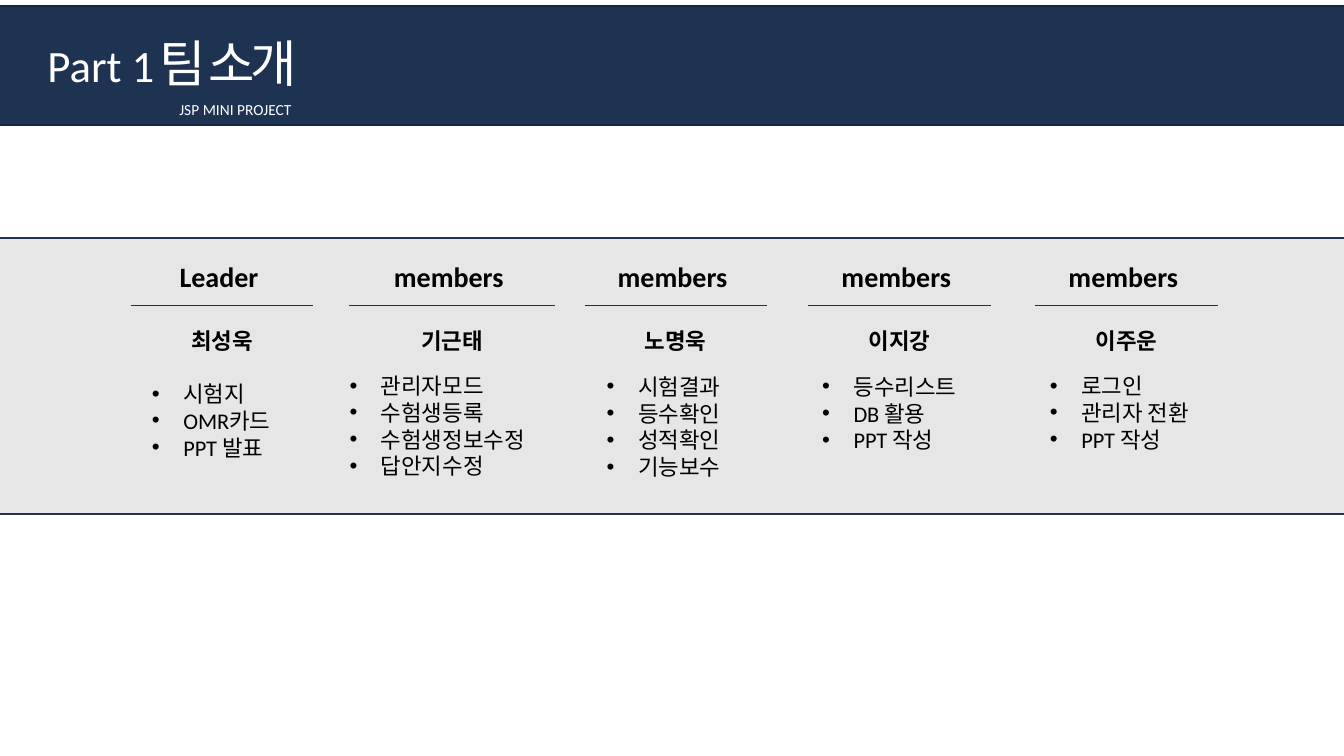
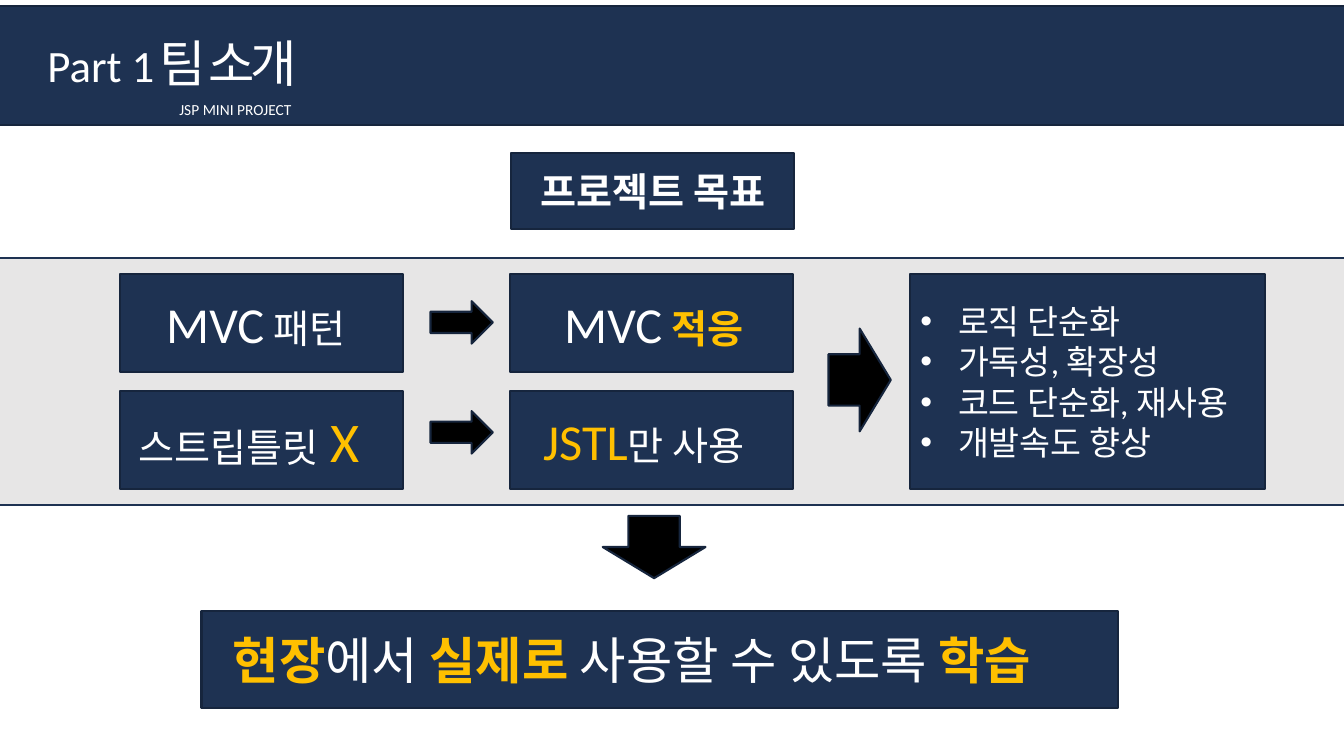
import pptx
import pptx.util
import pptx.dml.color
import pptx.enum.shapes
import pptx.enum.text
import pptx.oxml.ns
from lxml import etree

Cm, Pt = pptx.util.Cm, pptx.util.Pt
RGB = pptx.dml.color.RGBColor
SHAPE = pptx.enum.shapes.MSO_SHAPE
ALIGN = pptx.enum.text.PP_ALIGN
ANCHOR = pptx.enum.text.MSO_ANCHOR
qn = pptx.oxml.ns.qn

FONT = "Calibri"
NAVY = RGB(0x1E, 0x32, 0x52)
EDGE = RGB(0x16, 0x25, 0x3D)
GREY = RGB(0xE7, 0xE6, 0xE6)
GOLD = RGB(0xFF, 0xC0, 0x00)
WHITE = RGB(0xFF, 0xFF, 0xFF)
BLACK = RGB(0, 0, 0)

TITLE = [("Part 1", {"size": 32}), (" ", {"size": 14}), ("팀 소개", {"spacing": -3})]
SUBTITLE = "JSP MINI PROJECT"

# role, name, left and width of the rule, left and top of the list, tasks
TEAM = [
    ("Leader", "최성욱", 3.3, 4.6, 3.58, 9.45, ["시험지", "OMR카드", "PPT 발표"]),
    ("members", "기근태", 8.79, 5.2, 8.56, 9.25,
     ["관리자모드", "수험생등록", "수험생정보수정", "답안지수정"]),
    ("members", "노명욱", 14.73, 4.6, 15.04, 9.27,
     ["시험결과", "등수확인", "성적확인", "기능보수"]),
    ("members", "이지강", 20.37, 4.6, 20.47, 9.27, ["등수리스트", "DB 활용", "PPT 작성"]),
    ("members", "이주운", 26.09, 4.6, 26.21, 9.25, ["로그인", "관리자 전환", "PPT 작성"]),
]

GOAL = "프로젝트 목표"
HIGHLIGHT = {"color": GOLD, "bold": True}
# top of the boxes, top of the arrow, then (text inset, runs) for each box
STEPS = [
    (6.91, 7.59, [
        (1.17, [("MVC", {"size": 36}), (" 패턴", {})]),
        (1.37, [("MVC", {"size": 36}), (" ", {}), ("적응", HIGHLIGHT)]),
    ]),
    (9.86, 10.36, [
        (0.48, [("스트립틀릿", {}), (" ", {"size": 36}), ("X", {"size": 40, "color": GOLD})]),
        (0.84, [("JSTL", {"size": 36, "color": GOLD}), ("만 사용", {})]),
    ]),
]
STEP_LEFTS = (3.02, 12.85)
BENEFITS = ["로직 단순화", "가독성, 확장성", "코드 단순화, 재사용", "개발속도 향상"]
CONCLUSION = [("현장", HIGHLIGHT), ("에서 ", {}), ("실제로", HIGHLIGHT),
              (" 사용할 수 있도록 ", {}), ("학습", HIGHLIGHT)]


def format_run(r, size, color, bold=False, spacing=0):
    r.font.name = FONT
    r.font.size = Pt(size)
    r.font.bold = bold
    r.font.color.rgb = color
    if spacing:
        r.font._element.set("spc", str(spacing * 100))


def write(tf, paragraphs, size=16, color=BLACK, bold=False, align=ALIGN.LEFT, indent=None):
    """Fill tf; a paragraph is a string or a list of (text, overrides) runs."""
    tf.word_wrap = True
    tf.auto_size = pptx.enum.text.MSO_AUTO_SIZE.NONE
    base = {"size": size, "color": color, "bold": bold}
    for i, runs in enumerate(paragraphs):
        p = tf.add_paragraph() if i else tf.paragraphs[0]
        p.alignment = align
        p.space_before = Pt(0)
        if indent:
            add_bullet(p, indent)
        for text, overrides in [(runs, {})] if isinstance(runs, str) else runs:
            r = p.add_run()
            r.text = text
            format_run(r, **{**base, **overrides})


def add_bullet(p, indent):
    pPr = p._p.get_or_add_pPr()
    pPr.set("marL", str(Cm(indent)))
    pPr.set("indent", str(-Cm(indent)))
    etree.SubElement(pPr, qn("a:buFont")).set("typeface", "Arial")
    etree.SubElement(pPr, qn("a:buChar")).set("char", "•")


def place(sp, left, top, width, height):
    sp.left, sp.top, sp.width, sp.height = map(Cm, (left, top, width, height))


def paint(sp, fill=NAVY, line=EDGE):
    sp.fill.solid()
    sp.fill.fore_color.rgb = fill
    sp.line.color.rgb = line
    sp.line.width = Pt(1.5)


def add_shape(s, *box, kind=SHAPE.RECTANGLE, fill=NAVY, line=EDGE):
    sp = s.shapes.add_shape(kind, *map(Cm, box))
    sp.shadow.inherit = False
    paint(sp, fill, line)
    return sp


def add_label(s, paragraphs, *box, **style):
    write(s.shapes.add_textbox(*map(Cm, box)).text_frame, paragraphs, **style)


def add_box(s, runs, *box, inset=0.25, **style):
    tf = add_shape(s, *box).text_frame
    tf.margin_left, tf.margin_right = Cm(inset), 0
    tf.vertical_anchor = ANCHOR.MIDDLE
    write(tf, [runs], color=WHITE, **style)


def add_rule(s, left, top, width):
    line = s.shapes.add_connector(pptx.enum.shapes.MSO_CONNECTOR.STRAIGHT,
                                  Cm(left), Cm(top), Cm(left + width), Cm(top))
    line.line.color.rgb = NAVY
    line.line.width = Pt(1)
    etree.SubElement(line._element.spPr, qn("a:effectLst"))


def start_slide(prs, layout, panel_top, panel_height):
    """Add a slide with the title band and the grey panel behind its placeholders."""
    s = prs.slides.add_slide(prs.slide_layouts[layout])
    panel = add_shape(s, -0.46, panel_top, 34.8, panel_height, fill=GREY, line=NAVY)
    band = add_shape(s, -1.02, 0.15, 36.3, 3)
    for sp in (band, panel):
        s.shapes.element.insert(2, sp.element)
    title = s.shapes.title
    place(title, 0.94, 0.66, 7.5, 1.8)
    title.text_frame.vertical_anchor = ANCHOR.MIDDLE
    write(title.text_frame, [TITLE], size=36, color=WHITE)
    add_label(s, [SUBTITLE], 4.27, 2.39, 4.52, 0.74, size=11, color=WHITE)
    return s


def build_team(prs):
    s = start_slide(prs, 5, 5.99, 6.96)
    for role, name, left, width, list_left, list_top, tasks in TEAM:
        add_label(s, [role], left - 0.08, 6.42, width, 1.12,
                  size=20, bold=True, align=ALIGN.CENTER)
        add_rule(s, left, 7.7, width)
        add_label(s, [name], left, 8.13, width, 0.94, bold=True, align=ALIGN.CENTER)
        add_label(s, tasks, list_left, list_top, 5.4, 3, indent=0.79)


def build_goal(prs):
    s = start_slide(prs, 1, 6.5, 6.22)
    add_box(s, GOAL, 12.88, 3.86, 7.14, 1.91, inset=0, size=28, bold=True, align=ALIGN.CENTER)
    for top, arrow_top, boxes in STEPS:
        for left, (inset, runs) in zip(STEP_LEFTS, boxes):
            add_box(s, runs, left, top, 7.14, 2.46, inset=inset, size=28)
        add_shape(s, 10.85, arrow_top, 1.57, 1.07, kind=SHAPE.RIGHT_ARROW, fill=BLACK)
    add_shape(s, 20.88, 8.28, 1.57, 2.59, kind=SHAPE.RIGHT_ARROW, fill=BLACK)
    add_shape(s, 15.19, 13, 2.59, 1.57, kind=SHAPE.DOWN_ARROW, fill=BLACK)

    body = s.placeholders[1]
    place(body, 22.94, 6.91, 8.94, 5.41)
    paint(body)
    tf = body.text_frame
    tf.margin_right = 0
    tf.vertical_anchor = ANCHOR.MIDDLE
    write(tf, BENEFITS, size=24, color=WHITE, indent=0.95)

    add_box(s, CONCLUSION, 5.08, 15.39, 23.09, 2.46, inset=0.79, size=36)


def main():
    prs = pptx.Presentation()
    prs.slide_width, prs.slide_height = Cm(33.87), Cm(19.05)
    build_team(prs)
    build_goal(prs)
    prs.save("out.pptx")


if __name__ == "__main__":
    main()
